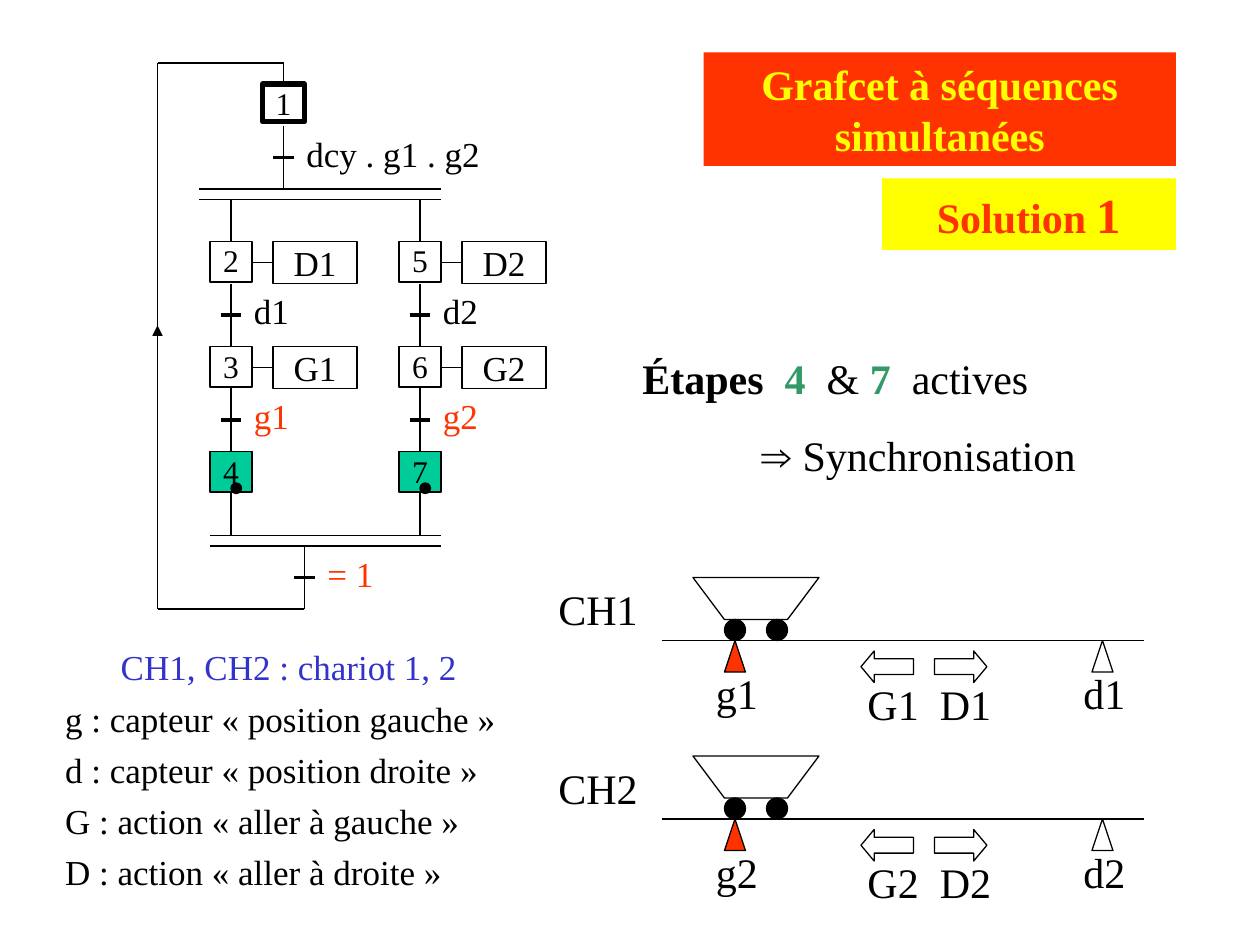
from pptx import Presentation
from pptx.dml.color import RGBColor
from pptx.enum.shapes import MSO_CONNECTOR, MSO_SHAPE
from pptx.enum.text import MSO_ANCHOR, MSO_AUTO_SIZE, PP_ALIGN
from pptx.oxml.ns import qn
from pptx.util import Inches, Pt
from lxml.etree import SubElement

CELL = Inches(1) // 12
COLUMNS, ROWS = 120, 90
FONT = "Times New Roman"
COLORS = {
    "black": "000000",
    "white": "FFFFFF",
    "red": "FF3300",
    "yellow": "FFFF00",
    "blue": "3333CC",
    "mint": "00CC99",
    "green": "339966",
}


def grid(*cells):
    return [round(cell * CELL) for cell in cells]


def rgb(name):
    return RGBColor.from_string(COLORS[name])


def paint(shape, fill=None, outline="black", weight=0.75):
    shape.shadow.inherit = False
    if fill:
        shape.fill.solid()
        shape.fill.fore_color.rgb = rgb(fill)
    else:
        shape.fill.background()
    if outline:
        shape.line.color.rgb = rgb(outline)
        shape.line.width = Pt(weight)
    else:
        shape.line.fill.background()


def format_run(run, size, color="black", bold=False, font=FONT):
    run.font.name = font
    run.font.size = Pt(size)
    run.font.bold = bold
    run.font.color.rgb = rgb(color)


def format_frame(frame, margin_y=0.6):
    frame.word_wrap = True
    frame.auto_size = MSO_AUTO_SIZE.NONE
    frame.vertical_anchor = MSO_ANCHOR.TOP
    frame.margin_left = frame.margin_right = Inches(0.1)
    frame.margin_top = frame.margin_bottom = round(margin_y * CELL)


def write(shape, words, size, color="black", bold=False, align=PP_ALIGN.LEFT,
          before=0, margin_y=0.6):
    frame = shape.text_frame
    format_frame(frame, margin_y)
    frame.text = words
    for paragraph in frame.paragraphs:
        paragraph.alignment = align
        paragraph.space_before = Pt(before)
        for run in paragraph.runs:
            format_run(run, size, color, bold)


def add_runs(paragraph, size, parts):
    for words, style in parts:
        run = paragraph.add_run()
        run.text = words
        format_run(run, **{"size": size, **style})


def label(slide, cells, words, size=20, **style):
    write(slide.shapes.add_textbox(*grid(*cells)), words, size, **style)


def draw(slide, kind, cells, **style):
    shape = slide.shapes.add_shape(kind, *grid(*cells))
    paint(shape, **style)
    return shape


def line(slide, x1, y1, x2, y2, weight=0.75, arrow=False):
    link = slide.shapes.add_connector(MSO_CONNECTOR.STRAIGHT, *grid(x1, y1, x2, y2))
    link.line.color.rgb = rgb("black")
    link.line.width = Pt(weight)
    properties = link._element.spPr
    if arrow:
        SubElement(properties.find(qn("a:ln")), qn("a:tailEnd"), type="triangle")
    SubElement(properties, qn("a:effectLst"))


def step(slide, x, y, number, fill=None, weight=0.75, height=3.85):
    box = draw(slide, MSO_SHAPE.RECTANGLE, (x - 2, y, 4, height), fill=fill, weight=weight)
    write(box, number, 18, align=PP_ALIGN.CENTER, before=11.2, margin_y=0)


def action(slide, x, y, name):
    line(slide, x + 2, y + 2, x + 4, y + 2)
    box = draw(slide, MSO_SHAPE.RECTANGLE, (x + 4, y, 8, 4), fill="white")
    write(box, name, 20, align=PP_ALIGN.CENTER, margin_y=0)


def transition(slide, x, y, condition, width=8, color="black"):
    line(slide, x, y, x, y + 6)
    line(slide, x - 1, y + 3, x + 1, y + 3, weight=2.25)
    label(slide, (x + 1, y, width, 5), condition, color=color)


def branch(slide, x, first_step, cart):
    line(slide, x, 19, x, 23)
    for row, (move, sensor, color) in enumerate((("D", "d", "black"), ("G", "g", "red"))):
        y = 23 + 10 * row
        step(slide, x, y, str(first_step + row))
        action(slide, x, y, f"{move}{cart}")
        transition(slide, x, y + 4, f"{sensor}{cart}", color=color)
    step(slide, x, 43, str(first_step + 2), fill="mint")
    draw(slide, MSO_SHAPE.OVAL, (x, 46, 1, 1), fill="black")
    line(slide, x, 47, x, 51)


def grafcet(slide):
    step(slide, 27, 8, "1", weight=3, height=3.6)
    transition(slide, 27, 12, "dcy . g1 . g2", width=21)
    for left, y in ((19, 18), (19, 19), (20, 51), (20, 52)):
        line(slide, left, y, 42, y)
    branch(slide, 22, 2, 1)
    branch(slide, 40, 5, 2)
    transition(slide, 29, 52, "= 1", width=7, color="red")
    loop = ((29, 58), (15, 58), (15, 6), (27, 6), (27, 8.3))
    for start, end in zip(loop, loop[1:]):
        line(slide, *start, *end)
    line(slide, 15, 36, 15, 31, arrow=True)


def cart_track(slide, rail, cart):
    line(slide, 63, rail, 109, rail)
    bucket = slide.shapes.build_freeform(66, rail - 6, scale=CELL)
    bucket.add_line_segments(((78, rail - 6), (75, rail - 2), (69, rail - 2)), close=True)
    paint(bucket.convert_to_shape())
    for wheel in (69, 73):
        draw(slide, MSO_SHAPE.OVAL, (wheel, rail - 2, 2, 2), fill="black")
    for x, sensor, fill in ((69, "g", "red"), (104, "d", None)):
        draw(slide, MSO_SHAPE.ISOSCELES_TRIANGLE, (x, rail, 2, 3), fill=fill)
        label(slide, (x - 2, rail + 2, 8, 6), f"{sensor}{cart}", size=24)
    for x, kind in ((82, MSO_SHAPE.LEFT_ARROW), (89, MSO_SHAPE.RIGHT_ARROW)):
        arrow = draw(slide, kind, (x, rail + 1, 5, 3))
        arrow.adjustments[1] = 0.42
    label(slide, (81, rail + 3, 15, 6), f"G{cart}  D{cart}", size=24, align=PP_ALIGN.CENTER)
    label(slide, (52, rail - 6, 14, 6), f"CH{cart}", size=24)


def place(placeholder, *cells):
    placeholder.left, placeholder.top, placeholder.width, placeholder.height = grid(*cells)


def headings(slide):
    title = slide.shapes.title
    place(title, 67, 5, 45, 10.8)
    title.fill.solid()
    title.fill.fore_color.rgb = rgb("red")
    write(title, "Grafcet à séquences simultanées", 24, "yellow", True, PP_ALIGN.CENTER, 15)

    solution = draw(slide, MSO_SHAPE.RECTANGLE, (84, 17, 28, 6.8), fill="yellow", outline=None)
    format_frame(solution.text_frame)
    paragraph = solution.text_frame.paragraphs[0]
    paragraph.alignment = PP_ALIGN.CENTER
    paragraph.space_before = Pt(17.5)
    accent = {"color": "red", "bold": True}
    add_runs(paragraph, 24, (("Solution ", accent), ("1", {**accent, "size": 28})))


def legend(slide):
    body = slide.placeholders[1]
    place(body, 5, 62, 45, 23.5)
    entries = (
        "CH1, CH2 : chariot 1, 2",
        "g : capteur « position gauche »",
        "d : capteur « position droite »",
        "G : action « aller à gauche »",
        "D : action « aller à droite »",
    )
    write(body, "\n".join(entries), 20, before=12.5)
    for paragraph in body.text_frame.paragraphs:
        paragraph.line_spacing = 0.7
        properties = paragraph._p.get_or_add_pPr()
        properties.set("marL", "0")
        properties.set("indent", "0")
        SubElement(properties, qn("a:buNone"))
    carts = body.text_frame.paragraphs[0]
    carts.alignment = PP_ALIGN.CENTER
    carts.runs[0].font.color.rgb = rgb("blue")


def active_steps(slide):
    frame = slide.shapes.add_textbox(*grid(60, 33, 55, 13.3)).text_frame
    format_frame(frame)
    active, result = frame.paragraphs[0], frame.add_paragraph()
    result.alignment = PP_ALIGN.CENTER
    active.space_before = result.space_before = Pt(15)
    number = {"color": "green", "bold": True}
    add_runs(active, 24, (("Étapes  ", {"bold": True}), ("4", number), ("  & ", {}),
                          ("7", number), ("  actives", {})))
    add_runs(result, 24, (("⇒", {"font": "Arial"}), (" Synchronisation", {})))


def main():
    deck = Presentation()
    deck.slide_width, deck.slide_height = grid(COLUMNS, ROWS)
    slide = deck.slides.add_slide(deck.slide_layouts[1])
    headings(slide)
    legend(slide)
    active_steps(slide)
    grafcet(slide)
    for cart, rail in ((1, 61), (2, 78)):
        cart_track(slide, rail, cart)
    deck.save("out.pptx")


if __name__ == "__main__":
    main()
